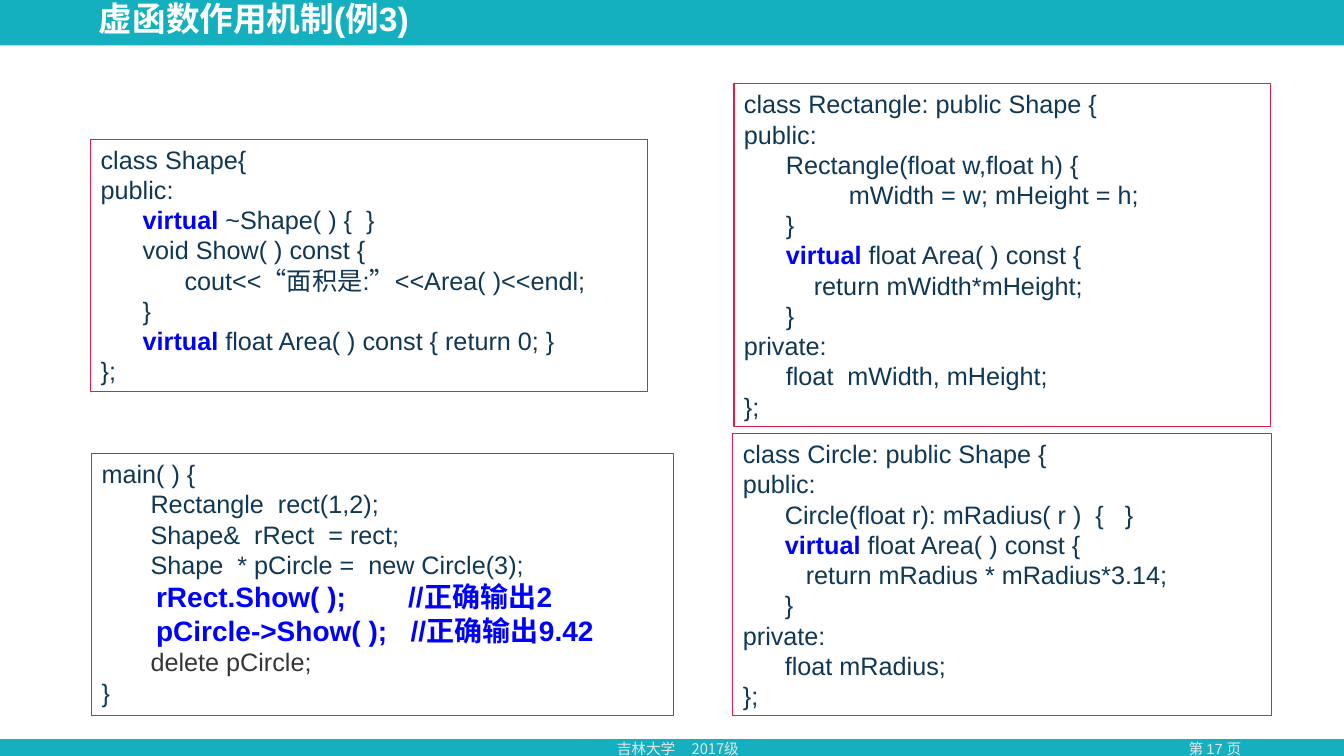
from lxml.etree import SubElement
from pptx import Presentation
from pptx.dml.color import RGBColor
from pptx.enum.shapes import MSO_SHAPE
from pptx.enum.text import MSO_ANCHOR, MSO_AUTO_SIZE, PP_ALIGN
from pptx.oxml.ns import qn
from pptx.util import Inches, Pt

TEAL = RGBColor(0x14, 0xB0, 0xC0)
WHITE = RGBColor(0xFF, 0xFF, 0xFF)
PALE = RGBColor(0xE7, 0xE6, 0xE6)
RED = RGBColor(0xE6, 0x1A, 0x4B)
NAVY = RGBColor(0x10, 0x37, 0x54)
BLUE = RGBColor(0x00, 0x00, 0xFF)
GREY = RGBColor(0x34, 0x35, 0x37)
LATIN, CJK = "Arial", "Noto Sans CJK SC"
KEYWORD = "virtual "

SHAPE_CLASS = """class Shape{
public:
      virtual ~Shape( ) {  }
      void Show( ) const {
            cout<<“面积是:”<<Area( )<<endl;
      }
      virtual float Area( ) const { return 0; }
};"""

RECTANGLE_CLASS = """class Rectangle: public Shape {
public:
      Rectangle(float w,float h) {
               mWidth = w; mHeight = h;
      }
      virtual float Area( ) const {
          return mWidth*mHeight;
      }
private:
      float  mWidth, mHeight;
};"""

CIRCLE_CLASS = """class Circle: public Shape {
public:
      Circle(float r): mRadius( r )  {   }
      virtual float Area( ) const {
         return mRadius * mRadius*3.14;
      }
private:
      float mRadius;
};"""

MAIN_FUNCTION = """main( ) {
       Rectangle  rect(1,2);
       Shape&  rRect  = rect;
       Shape  * pCircle =  new Circle(3);
       rRect.Show( );        //正确输出2
       pCircle->Show( );   //正确输出9.42
       delete pCircle;
}"""
MAIN_STYLES = {4: (20, BLUE, True), 5: (20, BLUE, True), 6: (18, GREY, False)}


def set_font(font, size, color, bold=False, name=LATIN):
    font.size, font.bold, font.name = Pt(size), bold, name
    font.color.rgb = color


def add_run(p, text, color=None):
    r = p.add_run()
    r.text = text
    SubElement(r.font._element, qn("a:ea")).set("typeface", CJK)
    if color is not None:
        r.font.bold = True
        r.font.color.rgb = color


def add_rect(s, box, fill, line=None):
    sp = s.shapes.add_shape(MSO_SHAPE.RECTANGLE, *map(Inches, box))
    sp.shadow.inherit = False
    sp.fill.solid()
    sp.fill.fore_color.rgb = fill
    if line is None:
        sp.line.fill.background()
    else:
        sp.line.color.rgb = line
        sp.line.width = Pt(0.75)
    return sp


def add_code(s, box, code, styles=None):
    tf = add_rect(s, box, WHITE, RED).text_frame
    tf.word_wrap = True
    tf.auto_size = MSO_AUTO_SIZE.SHAPE_TO_FIT_TEXT
    tf.vertical_anchor = MSO_ANCHOR.TOP
    for i, line in enumerate(code.split("\n")):
        p = tf.add_paragraph() if i else tf.paragraphs[0]
        p.alignment = PP_ALIGN.LEFT
        set_font(p.font, *(styles or {}).get(i, (18, NAVY, False)))
        before, keyword, after = line.partition(KEYWORD)
        for text, color in ((before, None), (keyword, BLUE), (after, None)):
            if text:
                add_run(p, text, color)


def add_footer(s, box, text, name, align):
    tf = s.shapes.add_textbox(*map(Inches, box)).text_frame
    tf.word_wrap = True
    p = tf.paragraphs[0]
    p.alignment = align
    set_font(p.font, 10.5, PALE, name=name)
    add_run(p, text)


def set_title(s, box, text):
    sp = s.shapes.title
    sp.left, sp.top, sp.width, sp.height = map(Inches, box)
    tf = sp.text_frame
    tf.auto_size = MSO_AUTO_SIZE.NONE
    tf.vertical_anchor = MSO_ANCHOR.BOTTOM
    p = tf.paragraphs[0]
    p.alignment = PP_ALIGN.LEFT
    p.line_spacing = 0.9
    set_font(p.font, 24, WHITE, True)
    add_run(p, text)
    s.shapes._spTree.append(sp._element)


def main():
    prs = Presentation()
    prs.slide_width, prs.slide_height = Inches(13.33), Inches(7.5)
    s = prs.slides.add_slide(prs.slide_layouts[5])

    add_rect(s, (0, 0, 13.33, 7.5), TEAL)
    add_rect(s, (0, 0.45, 13.33, 6.88), WHITE)
    add_footer(s, (11.32, 7.29, 1.46, 0.28), "第 17 页", LATIN, PP_ALIGN.CENTER)
    add_footer(s, (6.02, 7.29, 1.84, 0.28), "吉林大学     2017级", CJK, PP_ALIGN.LEFT)
    set_title(s, (0.88, 0.04, 7.68, 0.39), "虚函数作用机制(例3)")

    add_code(s, (0.9, 1.38, 5.52, 2.5), SHAPE_CLASS)
    add_code(s, (7.27, 4.3, 5.34, 2.8), CIRCLE_CLASS)
    add_code(s, (0.91, 4.5, 5.77, 2.6), MAIN_FUNCTION, MAIN_STYLES)
    add_code(s, (7.28, 0.83, 5.32, 3.4), RECTANGLE_CLASS)

    prs.save("out.pptx")


if __name__ == "__main__":
    main()
